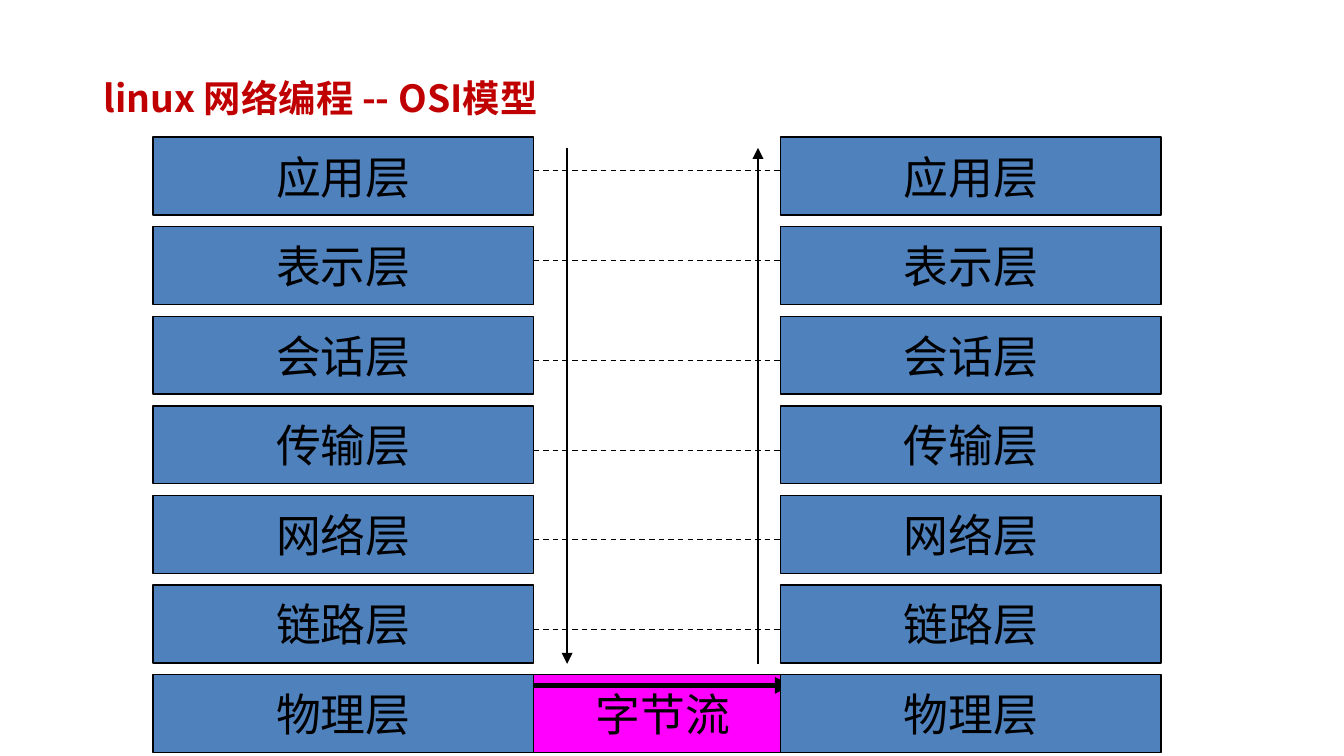
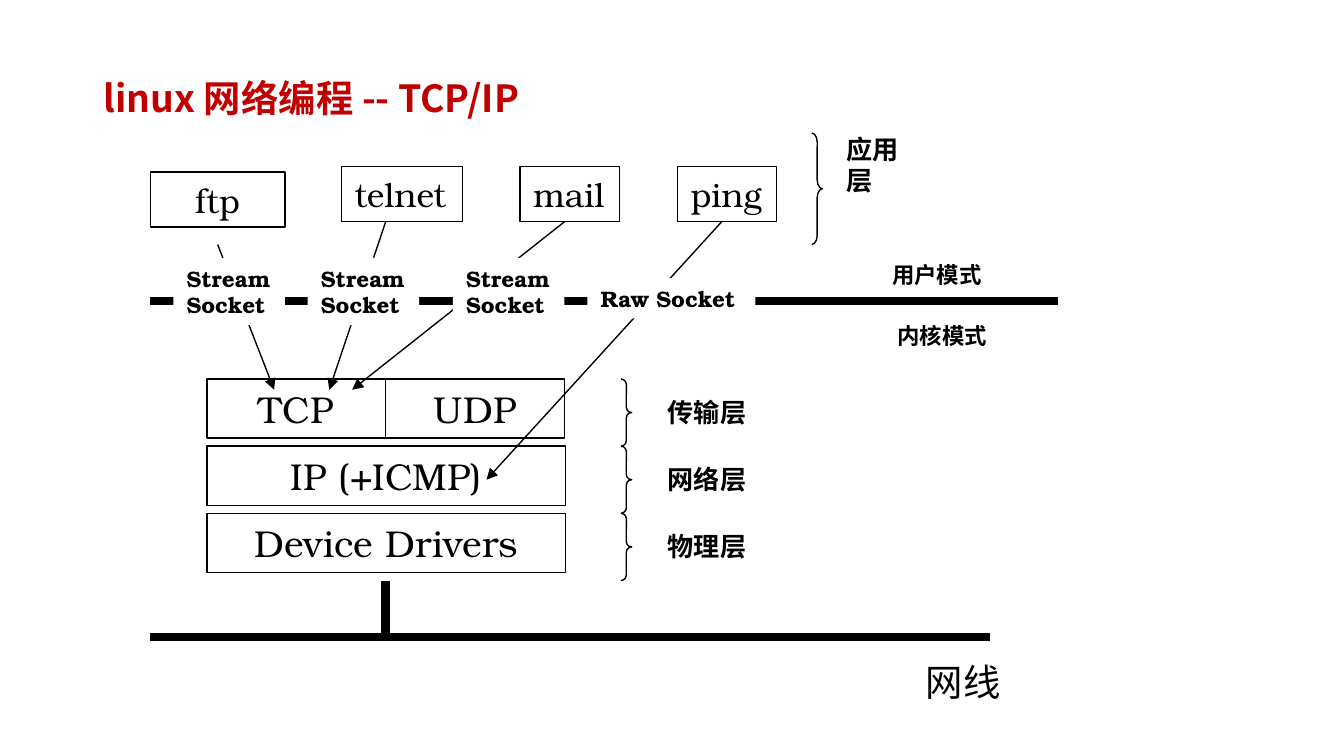
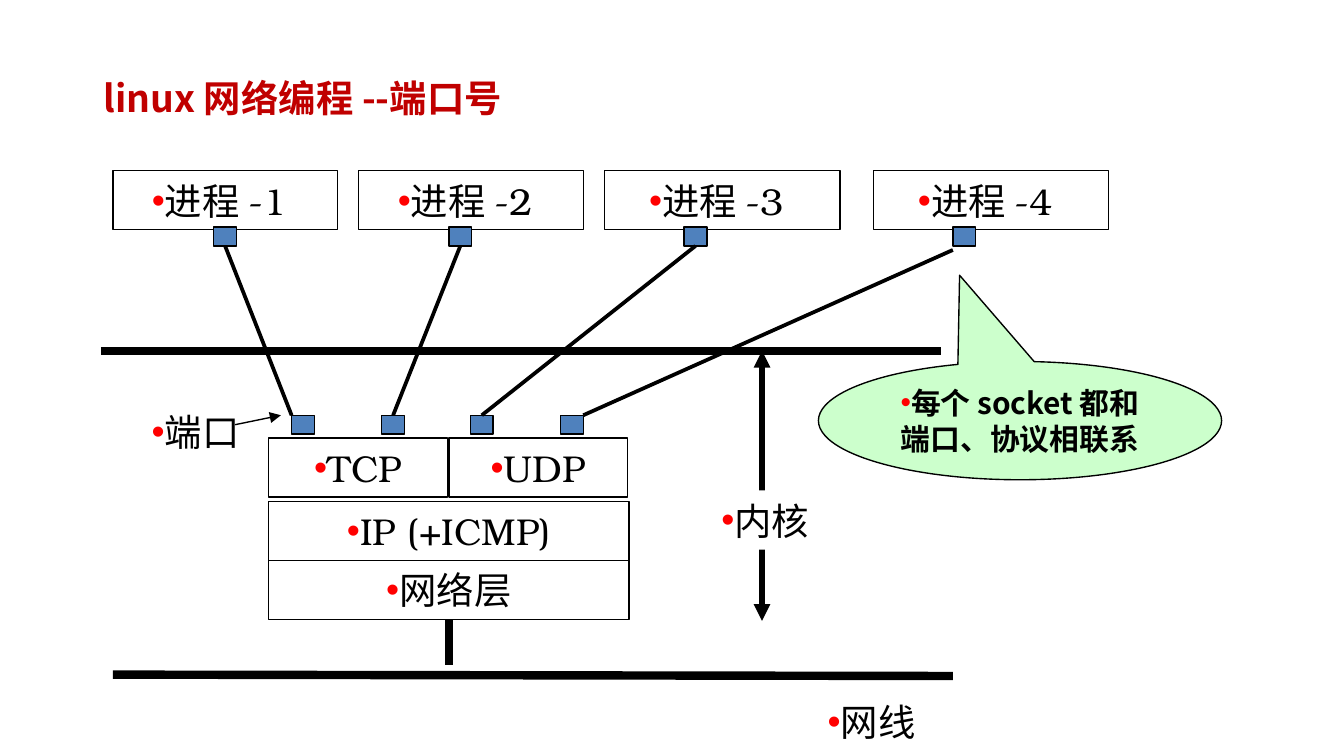
from lxml.etree import SubElement
from pptx import Presentation
from pptx.dml.color import RGBColor
from pptx.enum.dml import MSO_LINE
from pptx.enum.shapes import MSO_CONNECTOR, MSO_SHAPE
from pptx.enum.text import MSO_ANCHOR, MSO_AUTO_SIZE, PP_ALIGN
from pptx.oxml.ns import qn
from pptx.util import Inches, Pt

COLORS = {
    "title": "C00000",
    "ink": "000000",
    "layer": "4F81BD",
    "stream": "FF00FF",
    "paper": "FFFFFF",
    "callout": "CCFFCC",
    "bullet": "FF0000",
}
SANS = "Noto Sans CJK SC"
SERIF = "TeX Gyre Bonum"
LAYER_FONT = "Cabin"
TOP, BOTTOM = 0, 2
LEFT, CENTER = PP_ALIGN.LEFT, PP_ALIGN.CENTER


def rgb(name):
    return RGBColor.from_string(COLORS[name])


# ---- Text ----
def add_bullet(para):
    props = para._p.get_or_add_pPr()
    props.set("marL", "0")
    props.set("indent", "0")
    color = SubElement(props, qn("a:buClr"))
    SubElement(color, qn("a:srgbClr"), val=COLORS["bullet"])
    SubElement(props, qn("a:buFont"), typeface="Arial")
    SubElement(props, qn("a:buChar"), char="•")


def write(shape, text, size, font=SERIF, color="ink", bold=False,
          align=CENTER, bullet=False, wrap=True, grow=True):
    frame = shape.text_frame
    frame.word_wrap = wrap
    frame.vertical_anchor = MSO_ANCHOR.MIDDLE
    frame.auto_size = (MSO_AUTO_SIZE.SHAPE_TO_FIT_TEXT if grow
                       else MSO_AUTO_SIZE.NONE)
    for index, line in enumerate(text.split("\n")):
        para = frame.add_paragraph() if index else frame.paragraphs[0]
        para.alignment = align
        para.space_before = Pt(0)
        if bullet:
            add_bullet(para)
        span = para.add_run()
        span.text = line
        span.font.size = Pt(size)
        span.font.bold = bold
        span.font.color.rgb = rgb(color)
        span.font.name = font
        SubElement(span._r.get_or_add_rPr(), qn("a:ea"), typeface=SANS)


def add_label(page, place, text, size, **style):
    box = page.shapes.add_textbox(*map(Inches, place))
    write(box, text, size, **style)


# ---- Shapes and lines ----
def add_box(page, place, fill=None, outline=True, kind=MSO_SHAPE.RECTANGLE,
            adjust=()):
    shape = page.shapes.add_shape(kind, *map(Inches, place))
    shape.shadow.inherit = False
    for index, value in enumerate(adjust):
        shape.adjustments[index] = value
    if fill:
        shape.fill.solid()
        shape.fill.fore_color.rgb = rgb(fill)
    else:
        shape.fill.background()
    if outline:
        shape.line.color.rgb = rgb("ink")
        shape.line.width = Pt(0.75)
    else:
        shape.line.fill.background()
    return shape


def add_text_box(page, place, text, size, fill=None, outline=True, **style):
    box = add_box(page, place, fill, outline)
    write(box, text, size, **style)
    return box


def add_line(page, start, end, width=0.75, dashed=False, arrows=()):
    line = page.shapes.add_connector(
        MSO_CONNECTOR.STRAIGHT, *map(Inches, (*start, *end)))
    line.line.color.rgb = rgb("ink")
    line.line.width = Pt(width)
    if dashed:
        line.line.dash_style = MSO_LINE.DASH
    for arrow in arrows:
        SubElement(line.line._get_or_add_ln(), qn("a:" + arrow), type="triangle")
    SubElement(line._element.spPr, qn("a:effectLst"))
    return line


def add_page(deck, title):
    page = deck.slides.add_slide(deck.slide_layouts.get_by_name("Title Only"))
    heading = page.shapes.title
    heading.left, heading.top = Inches(0.67), Inches(0.52)
    heading.width, heading.height = Inches(6.77), Inches(0.41)
    write(heading, title, 20, font=SANS, color="title", bold=True,
          align=LEFT, grow=False)
    return page


# ---- OSI layers ----
def add_layer(page, place, name, fill="layer"):
    add_text_box(page, place, name, 24, fill=fill, font=LAYER_FONT,
                 wrap=False, grow=False)


def add_layer_stack(page, left, pitch):
    names = ["应用层", "表示层", "会话层", "传输层", "网络层", "链路层", "物理层"]
    for row, name in enumerate(names):
        add_layer(page, (left, 1.02 + row * pitch, 2.83, 0.58), name)


def build_osi(deck):
    page = add_page(deck, "linux 网络编程 -- OSI模型")
    pitch = 2 / 3
    add_layer_stack(page, 1.14, pitch)

    # Physical byte stream and data directions
    add_layer(page, (3.97, 5.02, 1.92, 0.58), "字节流", fill="stream")
    add_line(page, (3.97, 5.1), (5.89, 5.1), 3, arrows=["tailEnd"])
    add_line(page, (4.22, 1.1), (4.22, 4.94), arrows=["tailEnd"])
    add_line(page, (5.64, 4.94), (5.64, 1.1), arrows=["tailEnd"])

    # Peer links, a little lower from the third layer on
    for row in range(6):
        y = (1.27 if row < 2 else 1.35) + row * pitch
        add_line(page, (3.97, y), (5.8, y), dashed=True)
    add_layer_stack(page, 5.81, pitch)


# ---- TCP/IP ----
def add_brace(page, place, curve):
    add_box(page, place, kind=MSO_SHAPE.RIGHT_BRACE, adjust=(curve, 0.5))


def build_tcp_ip(deck):
    page = add_page(deck, "linux 网络编程 -- TCP/IP")

    # Applications
    add_text_box(page, (1.12, 1.28, 1, 0.41), "ftp", 18)
    for left, width, name in [(5.04, 0.74, "ping"), (2.54, 0.9, "telnet"),
                              (3.87, 0.74, "mail")]:
        add_text_box(page, (left, 1.24, width, 0.41), name, 18,
                     align=LEFT, wrap=False)

    # Mode border and protocol stack
    add_line(page, (1.12, 2.24), (7.87, 2.24), 4.5)
    for left, top, width, name in [
            (1.54, 2.82, 1.33, "TCP"), (2.87, 2.82, 1.33, "UDP"),
            (1.54, 3.32, 2.67, "IP (+ICMP)"),
            (1.54, 3.82, 2.67, "Device Drivers")]:
        add_text_box(page, (left, top, width, 0.44), name, 20)

    # Paths from applications to protocols
    for start, end in [((1.62, 1.82), (2.04, 2.9)), ((2.87, 1.65), (2.45, 2.9)),
                       ((4.2, 1.65), (2.62, 2.9)), ((5.37, 1.65), (3.62, 3.57))]:
        add_line(page, start, end, arrows=["tailEnd"])

    # Network cable
    add_line(page, (1.12, 4.74), (7.37, 4.74), 4.5)
    add_line(page, (2.87, 4.32), (2.87, 4.74), 4.5)
    add_label(page, (6.79, 4.86, 0.76, 0.43), "网线", 20, align=LEFT, wrap=False)

    # Layer names with braces
    add_label(page, (6.2, 1.06, 0.78, 0.33), "应用层", 14,
              bold=True, align=LEFT, wrap=False)
    add_brace(page, (6.04, 0.99, 0.08, 0.83), 0.83)
    for row, name in enumerate(["传输层", "网络层", "物理层"]):
        top = 2.82 + row * 0.5
        add_label(page, (4.87, top + 0.08, 2.09, 0.33), name, 14,
                  bold=True, align=LEFT)
        add_brace(page, (4.62, top, 0.08, 0.5), 0.5)

    # Sockets and modes
    sockets = [((4.37, 2.07, 1.25, 0.3), "Raw Socket")]
    sockets += [((left, 1.92, 0.83, 0.5), "Stream\nSocket")
                for left in (1.29, 2.29, 3.37)]
    for place, name in sockets:
        add_text_box(page, place, name, 12, fill="paper", outline=False,
                     bold=True, align=LEFT)
    for left, top, name in [(6.58, 2.35, "内核模式"), (6.54, 1.89, "用户模式")]:
        add_label(page, (left, top, 0.87, 0.3), name, 12,
                  bold=True, align=LEFT, wrap=False)


# ---- Ports ----
def add_ports(page, lefts, top):
    return [add_box(page, (left, top, 0.17, 0.14), "layer") for left in lefts]


def build_ports(deck):
    page = add_page(deck, "linux 网络编程 --端口号")

    # Processes
    for number, (left, width) in enumerate(
            [(0.84, 1.67), (2.67, 1.67), (4.5, 1.75), (6.5, 1.75)], 1):
        add_text_box(page, (left, 1.27, width, 0.44), f"进程 -{number} ", 20,
                     bullet=True)

    # Kernel border and protocol stack
    add_line(page, (0.75, 2.61), (7, 2.61), 4.5)
    for left, top, width, name in [
            (2, 3.26, 1.33, "TCP"), (3.34, 3.26, 1.33, "UDP"),
            (2, 3.73, 2.68, "IP (+ICMP)"), (2, 4.17, 2.68, "网络层")]:
        lowest = add_text_box(page, (left, top, width, 0.44), name, 20,
                              bullet=True)

    # Network cable
    add_line(page, (0.84, 5.02), (7.09, 5.03), 4.5)
    drop = add_line(page, (3.34, 4.61), (3.34, 4.95), 4.5)
    drop.begin_connect(lowest, BOTTOM)
    add_label(page, (6.04, 5.15, 0.89, 0.44), "网线", 20, bullet=True)

    # Ports; the outer links meet some ports at a corner
    lower = add_ports(page, (2.17, 2.84, 3.5, 4.17), 3.09)
    upper = add_ports(page, (1.59, 3.34, 5.09, 7.09), 1.69)
    starts, ends = (1.67, 3.42, 5.17, 7.09), (2.17, 2.92, 3.59, 4.34)
    for index, (start, end) in enumerate(zip(starts, ends)):
        link = add_line(page, (start, 1.86), (end, 3.09), 2)
        if index < 3:
            link.begin_connect(upper[index], BOTTOM)
        if index in (1, 2):
            link.end_connect(lower[index], TOP)
    add_label(page, (1.01, 2.99, 0.89, 0.44), "端口", 20, bullet=True)

    # Kernel extent
    add_line(page, (5.67, 2.61), (5.67, 4.62), 3, arrows=["headEnd", "tailEnd"])
    add_text_box(page, (5.25, 3.65, 0.89, 0.44), "内核", 20, fill="paper",
                 outline=False, bullet=True)
    add_line(page, (1.75, 3.16), (2.09, 3.09), arrows=["tailEnd"])

    # Callout
    callout = add_box(page, (6.09, 2.69, 3, 0.88), "callout",
                      kind=MSO_SHAPE.OVAL_CALLOUT, adjust=(-0.15, -1.23))
    write(callout, "每个 socket 都和端口、协议相联系", 16, font=SANS,
          bold=True, bullet=True, grow=False)


def main():
    deck = Presentation()
    deck.slide_width = Inches(10)
    deck.slide_height = deck.slide_width * 9 // 16
    build_osi(deck)
    build_tcp_ip(deck)
    build_ports(deck)
    deck.save("out.pptx")


if __name__ == "__main__":
    main()
